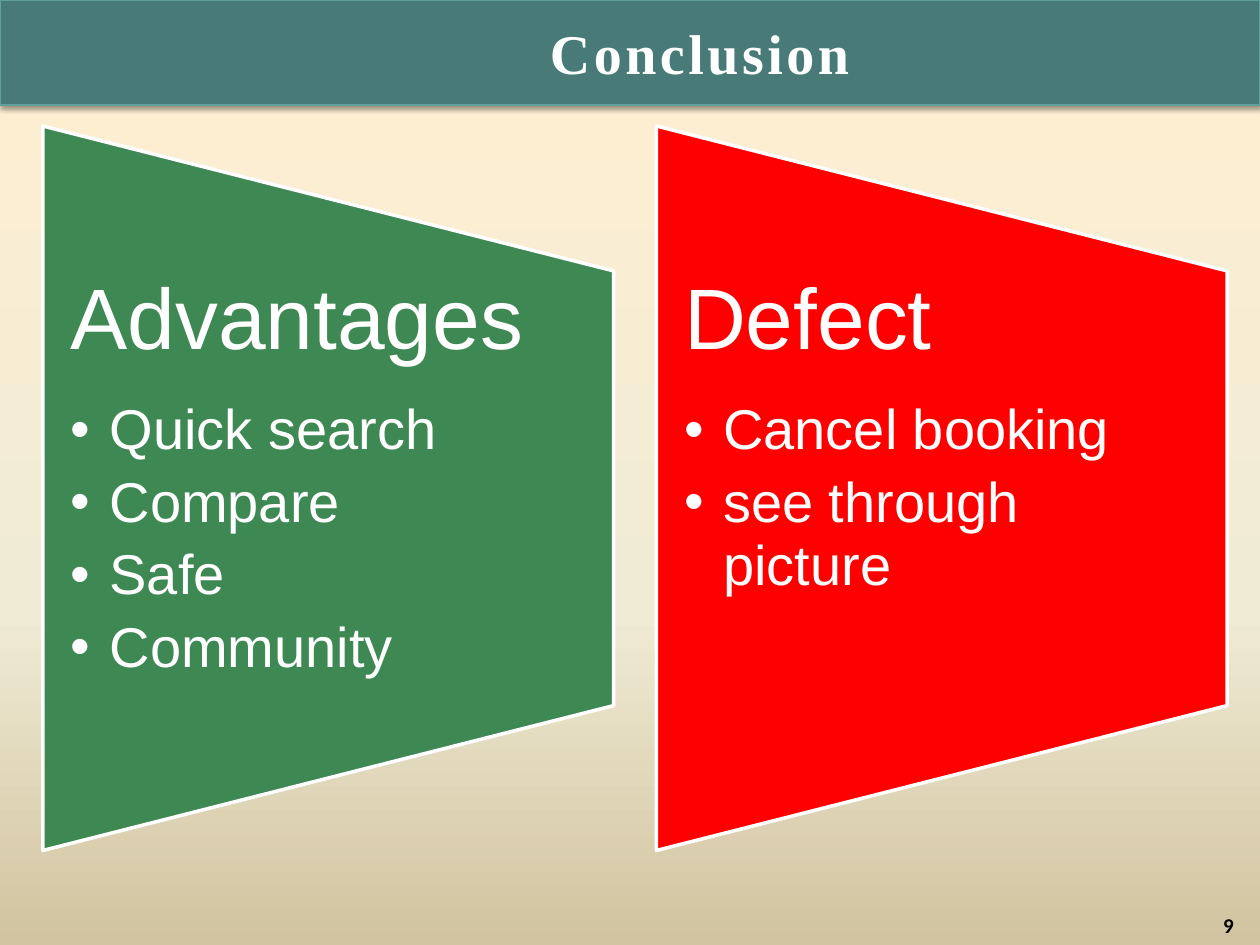
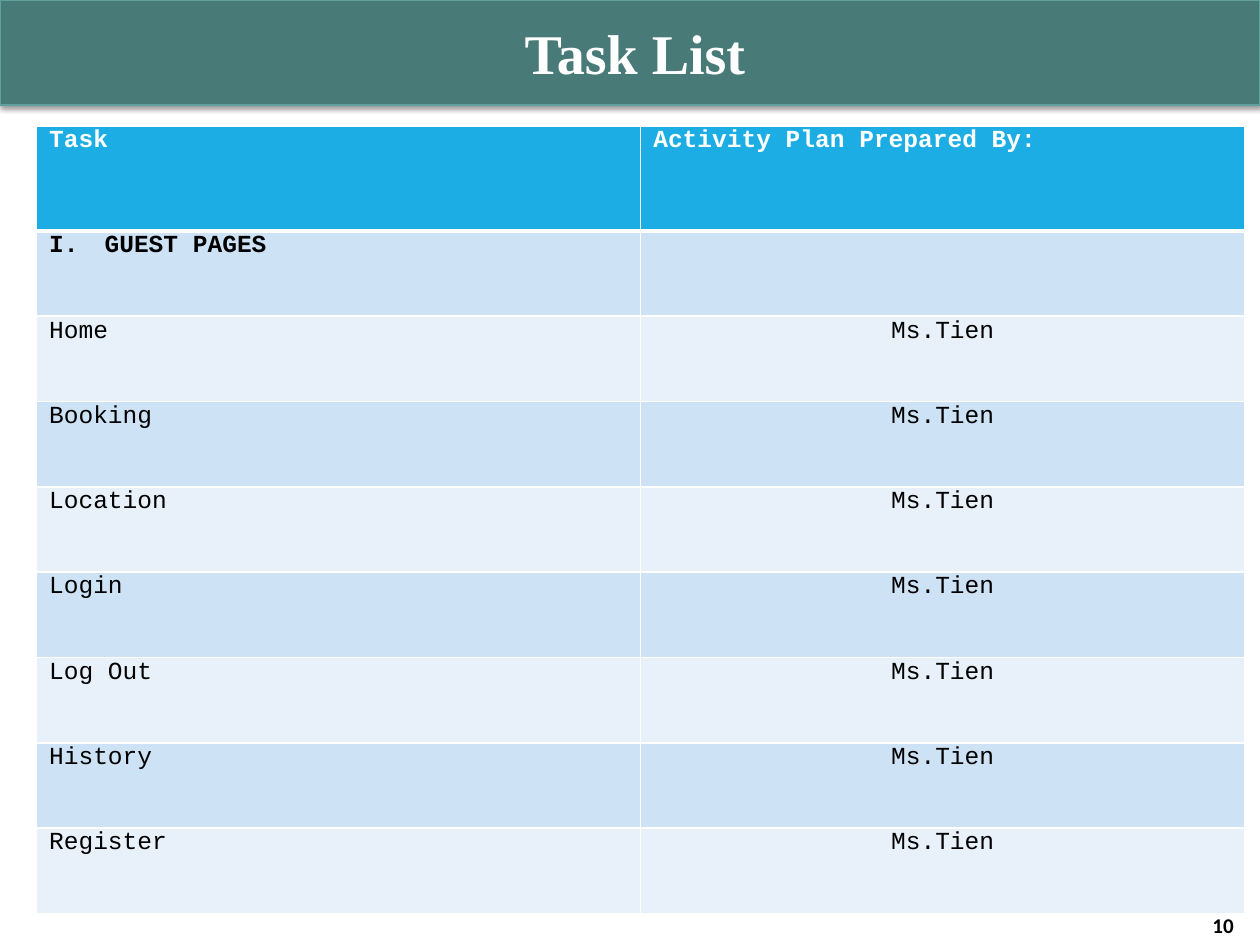
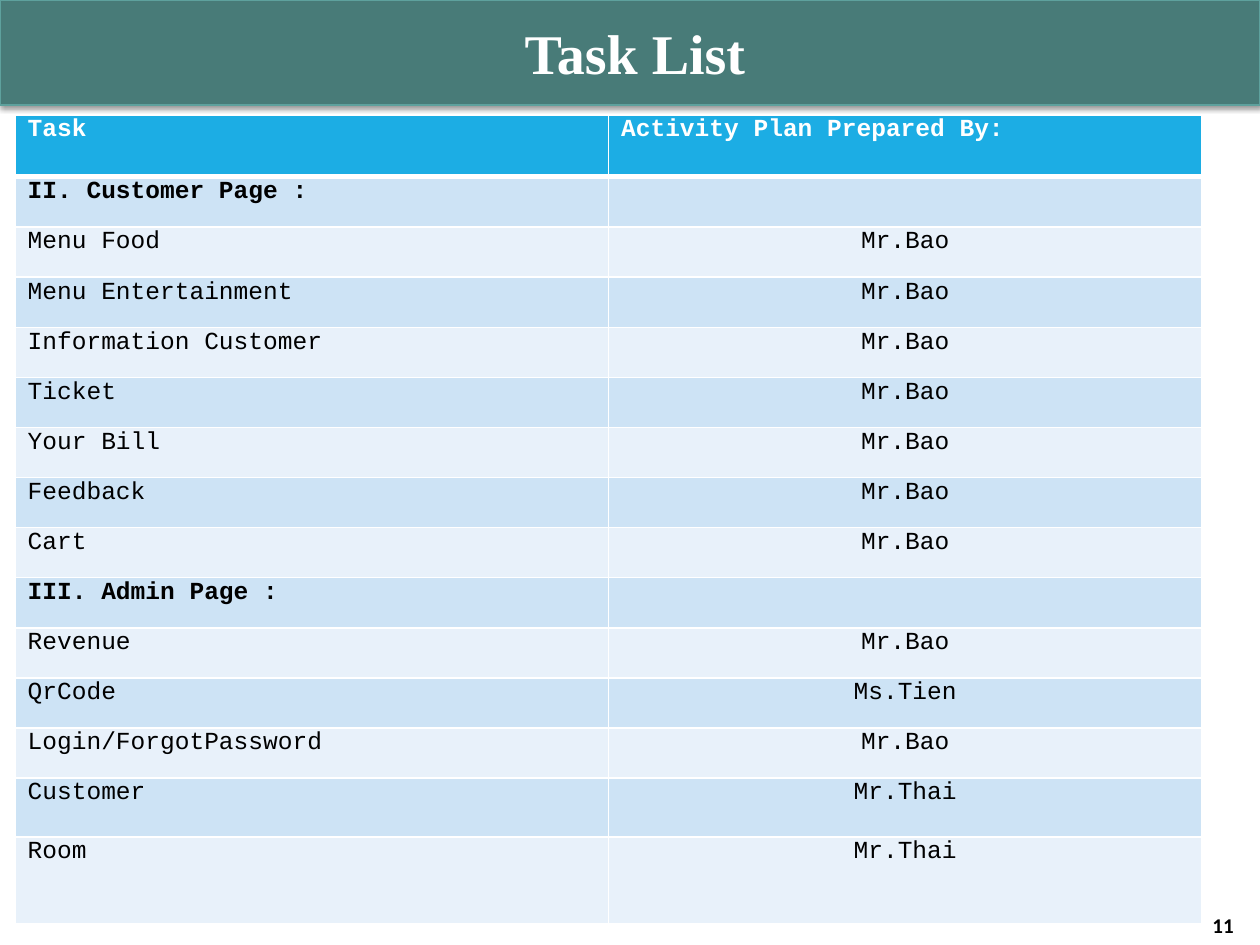
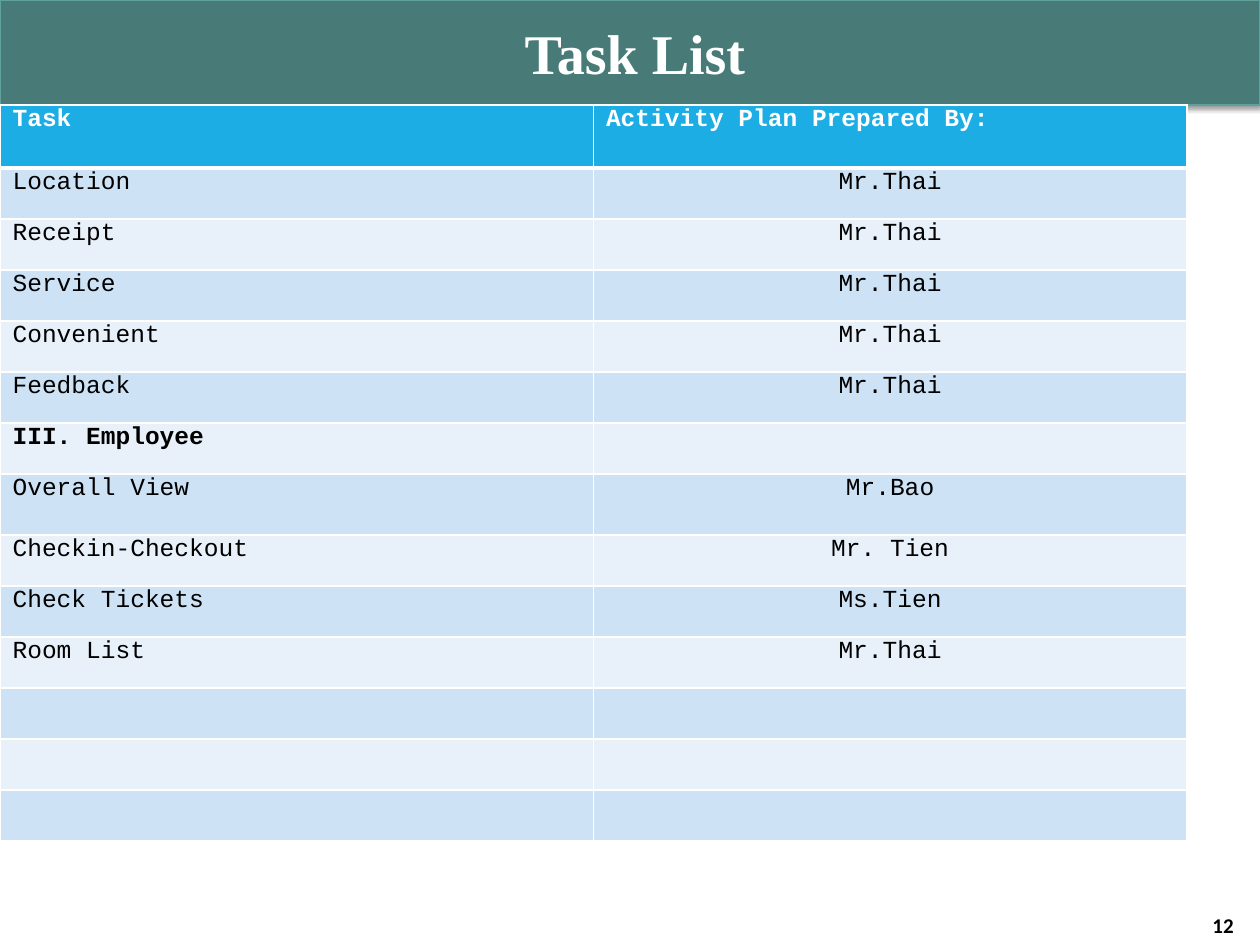
from copy import deepcopy
from lxml.etree import SubElement
from pptx import Presentation
from pptx.dml.color import RGBColor
from pptx.enum.shapes import MSO_SHAPE
from pptx.enum.text import MSO_ANCHOR, PP_ALIGN
from pptx.oxml.ns import qn
from pptx.util import Inches, Pt

COLS, ROWS = 40, 30
UNIT = Inches(10) / COLS
INKS = {
    "white": "FFFFFF", "black": "000000", "band": "487B78", "edge": "5EA19D",
    "good": "3E8853", "bad": "FF0000", "head": "1CADE4",
    "odd": "CDE3F5", "even": "E8F1FA",
    "top": "FFEFD1", "mid": "F0EBD5", "low": "D1C39F",
}
ALIGN = {"l": PP_ALIGN.LEFT, "c": PP_ALIGN.CENTER, "r": PP_ALIGN.RIGHT}


def ink(name):
    return RGBColor.from_string(INKS[name])


def span(units):
    return round(units * UNIT)


def write(frame, text, size=14, font="Courier New", color="black", bold=False,
          align="l", line=None, before=None, after=None, track=None,
          bullet=None, number=None, hang=0, more=False):
    """Fill the first paragraph of a frame, or add one more."""
    para = frame.add_paragraph() if more else frame.paragraphs[0]
    para.alignment = ALIGN[align]
    para.line_spacing = line
    if before is not None:
        para.space_before = Pt(before)
    if after is not None:
        para.space_after = Pt(after)
    props = para._p.get_or_add_pPr()
    if hang:
        props.set("marL", str(span(hang)))
        props.set("indent", str(-span(hang)))
    if bullet:
        SubElement(props, qn("a:buFont"), typeface="Arial")
        SubElement(props, qn("a:buChar"), char=bullet)
    if number:
        SubElement(props, qn("a:buAutoNum"), type=number)
    run = para.add_run()
    run.text = text
    run.font.size, run.font.name, run.font.bold = Pt(size), font, bold
    run.font.color.rgb = ink(color)
    if track:
        run.font._element.set("spc", str(track * 100))


class Deck:
    def __init__(self):
        self.show = Presentation()
        self.show.slide_width = span(COLS)
        self.show.slide_height = span(ROWS)
        self.slide = None

    def page(self, title, number, push=0, track=None):
        """Start a slide with its band, number and title."""
        self.slide = self.show.slides.add_slide(self.show.slide_layouts[6])
        band = self.shape(MSO_SHAPE.RECTANGLE, 0, 0, COLS, 3.33,
                          "band", "edge", 0.75)
        self.shade(band)
        foot = self.text(0.48, 29, 39.08, 0.72, MSO_ANCHOR.MIDDLE)
        write(foot, str(number), size=12, font="Calibri", bold=True, align="r")
        head = self.text(1.32, 0.32, 37.68, 2.68, MSO_ANCHOR.MIDDLE)
        head.margin_left += span(push)
        write(head, title, size=32, font="Times New Roman", color="white",
              bold=True, align="c", track=track)

    def fade(self, *stops):
        """Give the slide a gradient that runs from top to bottom."""
        fill = self.slide.background.fill
        fill.gradient()
        fill.gradient_angle = 270
        marks = next(self.slide.element.iter(qn("a:gsLst")))
        marks.append(deepcopy(marks[0]))
        for mark, (color, place) in zip(fill.gradient_stops, stops):
            mark.color.rgb = ink(color)
            mark.position = place

    def shape(self, kind, x, y, w, h, fill, edge, width, turn=0):
        item = self.slide.shapes.add_shape(kind, *map(span, (x, y, w, h)))
        item.shadow.inherit = False
        item.fill.solid()
        item.fill.fore_color.rgb = ink(fill)
        item.line.color.rgb = ink(edge)
        item.line.width = Pt(width)
        item.rotation = turn
        return item

    def shade(self, item):
        """Cast a soft shadow downwards."""
        effects = item.element.spPr.find(qn("a:effectLst"))
        cast = SubElement(effects, qn("a:outerShdw"), blurRad=str(Pt(3.1)),
                          dist=str(Pt(1.6)), dir="5400000", rotWithShape="0")
        tint = SubElement(cast, qn("a:srgbClr"), val=INKS["black"])
        SubElement(tint, qn("a:alpha"), val="38000")

    def text(self, x, y, w, h, anchor=MSO_ANCHOR.TOP):
        box = self.slide.shapes.add_textbox(*map(span, (x, y, w, h)))
        frame = box.text_frame
        frame.word_wrap = True
        frame.vertical_anchor = anchor
        return frame

    def panel(self, x, fill, title, points):
        """Draw a slanted panel with a heading and bullets."""
        wide, tall, top = 18.12, 23, 4
        # The shape is laid on its side, so its box is turned about its centre
        slip = (tall - wide) / 2
        self.shape(MSO_SHAPE.FLOWCHART_MANUAL_OPERATION, x - slip, top + slip,
                   tall, wide, fill, "white", 2, turn=270)
        frame = self.text(x, top + tall / 5, wide, tall * 0.6)
        frame.margin_left = frame.margin_right = span(0.88)
        frame.margin_top = frame.margin_bottom = 0
        style = dict(font="Arial", color="white", line=0.95)
        write(frame, title, size=49, after=17, **style)
        for point in points:
            write(frame, point, size=32, after=5, bullet="•", hang=1.24,
                  more=True, **style)

    def cell(self, cell, text, fill, base=1, **form):
        for side in "LRTB":
            width = base if side == "B" else 1
            line = SubElement(cell._tc.get_or_add_tcPr(), qn(f"a:ln{side}"),
                              w=str(Pt(width)))
            solid = SubElement(line, qn("a:solidFill"))
            SubElement(solid, qn("a:srgbClr"), val=INKS["white"])
        cell.fill.solid()
        cell.fill.fore_color.rgb = ink(fill)
        write(cell.text_frame, text, line=0.7, before=5, **form)

    def table(self, x, y, width, tasks, head, row, tall={}):
        """Draw the task table; a task without an owner is a section."""
        highs = [head] + [tall.get(task, row) for task, _ in tasks]
        frame = self.slide.shapes.add_table(
            len(highs), 2, *map(span, (x, y, width, sum(highs))))
        grid = frame.table
        grid.first_row = grid.horz_banding = False
        for line, high in zip(grid.rows, highs):
            line.height = span(high)
        for spot, name in enumerate(("Task", "Activity Plan Prepared By:")):
            self.cell(grid.cell(0, spot), name, "head", base=3,
                      color="white", bold=True)
        for spot, (task, owner) in enumerate(tasks, 1):
            fill = "odd" if spot % 2 else "even"
            form = {}
            if task == "GUEST PAGES":
                form = dict(number="romanUcPeriod", hang=1.76)
            self.cell(grid.cell(spot, 0), task, fill, bold=not owner, **form)
            self.cell(grid.cell(spot, 1), owner, fill, align="c")


def owned(owner, *tasks):
    return [(task, owner) for task in tasks]


def main():
    deck = Deck()
    tien, bao, thai = "Ms.Tien", "Mr.Bao", "Mr.Thai"

    # Conclusion
    deck.page("Conclusion", 9, push=4.1, track=2)
    deck.fade(("top", 0), ("mid", 0.65), ("low", 1))
    deck.panel(1.36, "good", "Advantages",
               ["Quick search", "Compare", "Safe", "Community"])
    deck.panel(20.84, "bad", "Defect",
               ["Cancel booking", "see through picture"])

    # Guest tasks
    deck.page("Task List", 10)
    guest = owned("", "GUEST PAGES") + owned(
        tien, "Home", "Booking", "Location", "Login", "Log Out", "History",
        "Register")
    deck.table(1.16, 4, 38.36, guest, head=3.33, row=2.71)

    # Customer and admin tasks
    deck.page("Task List", 11)
    client = (
        owned("", "II. Customer Page :")
        + owned(bao, "Menu Food", "Menu Entertainment",
                "Information Customer", "Ticket", "Your Bill", "Feedback",
                "Cart")
        + owned("", "III. Admin Page :")
        + owned(bao, "Revenue")
        + owned(tien, "QrCode")
        + owned(bao, "Login/ForgotPassword")
        + owned(thai, "Customer", "Room"))
    deck.table(0.48, 3.65, 37.68, client, head=1.96, row=1.59,
               tall={"Customer": 1.87, "Room": 2.75})

    # Admin and employee tasks
    deck.page("Task List", 12)
    staff = (
        owned(thai, "Location", "Receipt", "Service", "Convenient",
              "Feedback")
        + owned("", "III. Employee")
        + owned(bao, "Overall View")
        + owned("Mr. Tien", "Checkin-Checkout")
        + owned(tien, "Check Tickets")
        + owned(thai, "Room List")
        + owned("", "", "", ""))
    deck.table(0, 3.33, 37.68, staff, head=2, row=1.62,
               tall={"Overall View": 1.94})

    deck.show.save("out.pptx")


if __name__ == "__main__":
    main()
